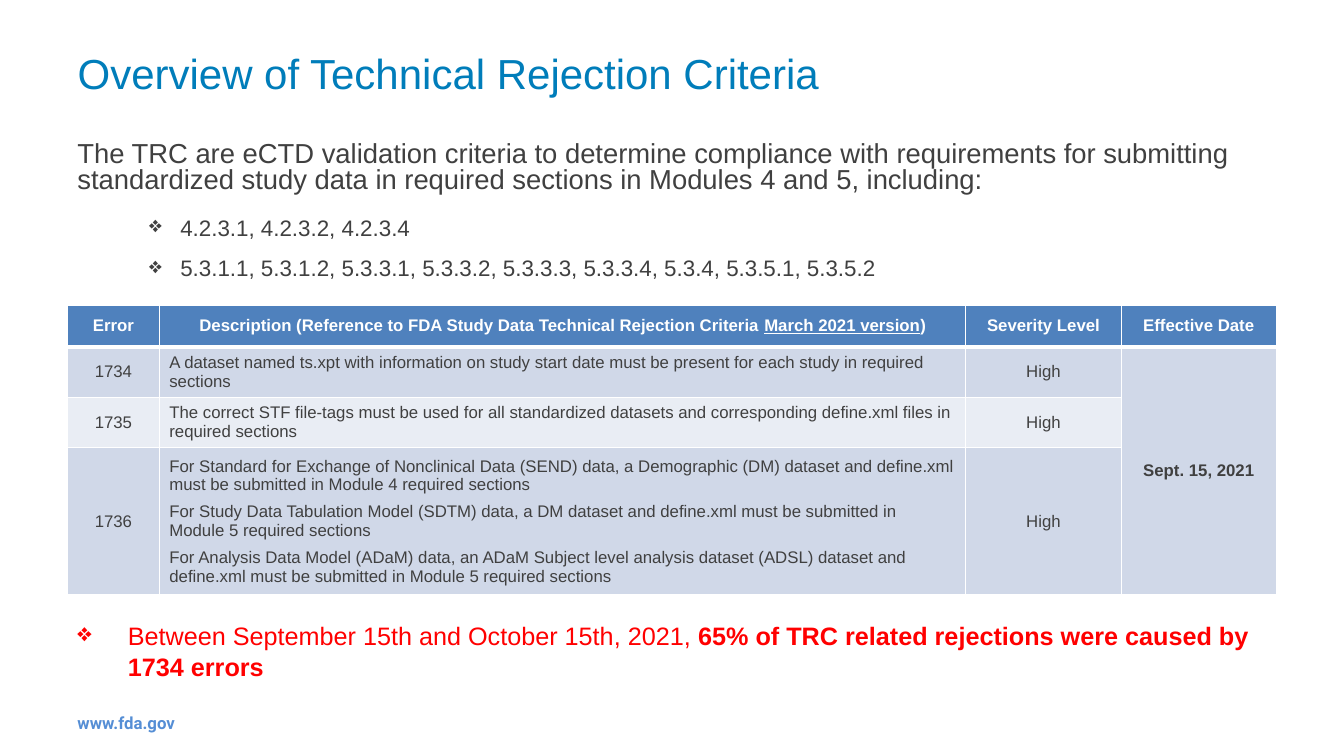
from lxml import etree
from pptx import Presentation
from pptx.dml.color import RGBColor
from pptx.enum.text import MSO_ANCHOR as Anchor, MSO_AUTO_SIZE as AutoSize, PP_ALIGN as Align
from pptx.oxml.ns import qn
from pptx.util import Inches, Pt

COLORS = {
    "title": "007DBA", "text": "404040", "alert": "FF0000", "link": "558ED5",
    "white": "FFFFFF", "header": "4F81BD", "band_dark": "D0D8E8", "band_light": "E9EDF4",
}
TITLE = {"size": Pt(30), "color": "title"}
INTRO = {"size": Pt(19.6)}
BULLET = {"size": Pt(16)}
ALERT = {"size": Pt(18), "color": "alert"}
FOOTER = {"size": Pt(12), "color": "link", "bold": True, "name": "Roboto"}
CELL = {"size": Pt(12)}
CELL_BOLD = CELL | {"bold": True}
HEADER = CELL_BOLD | {"color": "white"}

COLUMN_WIDTHS = [0.91, 8, 1.54, 1.54]
ROW_HEIGHTS = [0.41, 0.47, 0.47, 1.37]
HEADERS = [
    "Error",
    [("Description (Reference to FDA Study Data Technical Rejection Criteria ", {}),
     ("March 2021 version", {"underline": True}), (")", {})],
    "Severity Level",
    "Effective Date",
]
CRITERIA = [
    ("1734", ["A dataset named ts.xpt with information on study start date must be present "
              "for each study in required sections"], "High"),
    ("1735", ["The correct STF file-tags must be used for all standardized datasets and "
              "corresponding define.xml files in required sections"], "High"),
    ("1736", ["For Standard for Exchange of Nonclinical Data (SEND) data, a Demographic (DM) "
              "dataset and define.xml must be submitted in Module 4 required sections",
              "For Study Data Tabulation Model (SDTM) data, a DM dataset and define.xml must "
              "be submitted in Module 5 required sections",
              "For Analysis Data Model (ADaM) data, an ADaM Subject level analysis dataset "
              "(ADSL) dataset and define.xml must be submitted in Module 5 required sections"],
     "High"),
]


def rgb(color):
    return RGBColor.from_string(COLORS[color])


def add_run(paragraph, text, font_format):
    run = paragraph.add_run()
    run.text = text
    values = {"name": "Arial", "bold": False, "color": "text"} | font_format
    run.font.color.rgb = rgb(values.pop("color"))
    for name, value in values.items():
        setattr(run.font, name, value)


def set_bullet(paragraph, indent):
    properties = paragraph._p.get_or_add_pPr()
    properties.set("marL", str(Inches(indent)))
    properties.set("indent", str(-Inches(indent)))
    etree.SubElement(properties, qn("a:buChar")).set("char", "❖")


def fill_text(frame, paragraphs, font_format, layout=None, gap=None, indent=None):
    for index, content in enumerate(paragraphs):
        paragraph = frame.add_paragraph() if index else frame.paragraphs[0]
        for name, value in (layout or {}).items():
            setattr(paragraph, name, value)
        if index and gap:
            paragraph.space_before = gap
        if indent:
            set_bullet(paragraph, indent)
        runs = [(content, {})] if isinstance(content, str) else content
        for text, changes in runs:
            add_run(paragraph, text, font_format | changes)


def add_title(slide, text):
    title = slide.shapes.title
    title.left, title.top, title.width, title.height = map(Inches, (0.67, 0.27, 11.64, 0.99))
    frame = title.text_frame
    frame.auto_size = AutoSize.NONE
    frame.vertical_anchor = Anchor.MIDDLE
    fill_text(frame, [text], TITLE, {"alignment": Align.LEFT, "line_spacing": 0.8})


def add_text(slide, box, paragraphs, font_format, anchor=Anchor.TOP, **options):
    frame = slide.shapes.add_textbox(*map(Inches, box)).text_frame
    frame.word_wrap = True
    frame.vertical_anchor = anchor
    fill_text(frame, paragraphs, font_format, **options)


def set_borders(cell, widths):
    properties = cell._tc.get_or_add_tcPr()
    for index, (side, width) in enumerate(zip("LRTB", widths)):
        line = etree.Element(qn(f"a:ln{side}"), w=str(Pt(width)))
        solid = etree.SubElement(line, qn("a:solidFill"))
        etree.SubElement(solid, qn("a:srgbClr")).set("val", COLORS["white"])
        properties.insert(index, line)


def fill_cell(cell, paragraphs, font_format, alignment=Align.CENTER):
    cell.vertical_anchor = Anchor.MIDDLE
    fill_text(cell.text_frame, paragraphs, font_format, {"alignment": alignment}, Pt(5.75))


def add_criteria_table(slide):
    box = map(Inches, (0.67, 3.03, sum(COLUMN_WIDTHS), sum(ROW_HEIGHTS)))
    table = slide.shapes.add_table(len(ROW_HEIGHTS), len(COLUMN_WIDTHS), *box).table
    for column, width in zip(table.columns, COLUMN_WIDTHS):
        column.width = Inches(width)
    bands = ["header", "band_dark", "band_light", "band_dark"]
    for index, (row, height) in enumerate(zip(table.rows, ROW_HEIGHTS)):
        row.height = Inches(height)
        for cell in row.cells:
            cell.fill.solid()
            cell.fill.fore_color.rgb = rgb(bands[index])
            set_borders(cell, (1, 1, 3 if index == 1 else 1, 3 if index == 0 else 1))
    for column, header in enumerate(HEADERS):
        fill_cell(table.cell(0, column), [header], HEADER)
    for row, (error, description, severity) in enumerate(CRITERIA, start=1):
        fill_cell(table.cell(row, 0), [error], CELL)
        fill_cell(table.cell(row, 1), description, CELL, Align.LEFT)
        fill_cell(table.cell(row, 2), [severity], CELL)
    effective_date = table.cell(1, 3)
    effective_date.merge(table.cell(len(CRITERIA), 3))
    fill_cell(effective_date, ["Sept. 15, 2021"], CELL_BOLD)


def main():
    presentation = Presentation()
    presentation.slide_width, presentation.slide_height = Inches(13.33), Inches(7.5)
    slide = presentation.slides.add_slide(presentation.slide_layouts[5])
    add_title(slide, "Overview of Technical Rejection Criteria")
    add_text(slide, (0.67, 1.36, 11.84, 0.71),
             ["The TRC are eCTD validation criteria to determine compliance with requirements for "
              "submitting standardized study data in required sections in Modules 4 and 5, including:"],
             INTRO, layout={"line_spacing": 0.8, "space_before": Pt(1)})
    add_text(slide, (1.38, 2.07, 8.59, 0.77),
             ["4.2.3.1, 4.2.3.2, 4.2.3.4",
              "5.3.1.1, 5.3.1.2, 5.3.3.1, 5.3.3.2, 5.3.3.3, 5.3.3.4, 5.3.4, 5.3.5.1, 5.3.5.2"],
             BULLET, gap=Pt(10), indent=0.31)
    add_criteria_table(slide)
    add_text(slide, (0.67, 6.11, 12, 0.8),
             [[("Between September 15th and October 15th, 2021, ", {}),
               ("65% of TRC related rejections were caused by 1734 errors", {"bold": True})]],
             ALERT, layout={"space_before": Pt(1)}, indent=0.5)
    add_text(slide, (0.67, 6.97, 3.17, 0.4), ["www.fda.gov"], FOOTER, Anchor.MIDDLE)
    presentation.save("out.pptx")


if __name__ == "__main__":
    main()
